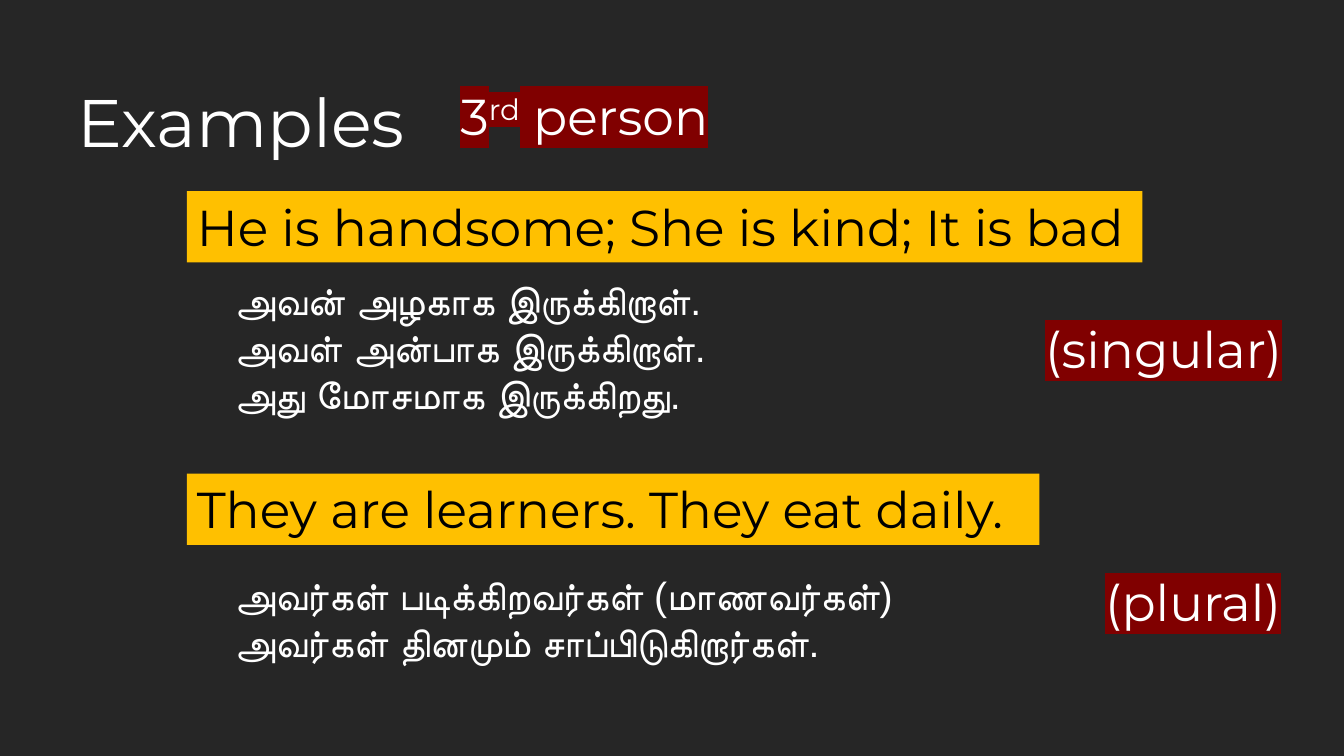
from dataclasses import dataclass

from lxml.etree import SubElement
from pptx import Presentation
from pptx.dml.color import RGBColor
from pptx.enum.text import MSO_ANCHOR, MSO_AUTO_SIZE, PP_ALIGN
from pptx.oxml.ns import qn
from pptx.util import Pt

EMU_PER_PX = 9525


@dataclass(frozen=True)
class Theme:
    background: str = "262626"
    light: str = "FFFFFF"
    dark: str = "000000"
    banner: str = "FFC000"
    tag: str = "800000"
    english: str = "Montserrat"
    tamil: str = "Arial"
    title_size: int = 48
    english_size: int = 36
    tamil_size: int = 28


THEME = Theme()
TITLE = {"name": THEME.english, "size": Pt(THEME.title_size)}
ENGLISH = {"name": THEME.english, "size": Pt(THEME.english_size)}
TAMIL = {"name": THEME.tamil, "size": Pt(THEME.tamil_size)}
FRAME = {
    "word_wrap": False,
    "auto_size": MSO_AUTO_SIZE.SHAPE_TO_FIT_TEXT,
    "vertical_anchor": MSO_ANCHOR.TOP,
}


def px(length):
    return length * EMU_PER_PX


def apply(target, values):
    for attribute, value in values.items():
        setattr(target, attribute, value)


def paint(fill, color):
    fill.solid()
    fill.fore_color.rgb = RGBColor.from_string(color)


def add_box(slide, bounds):
    box = slide.shapes.add_textbox(*map(px, bounds))
    apply(box.text_frame, FRAME)
    return box


def add_run(paragraph, words, style, color=THEME.light):
    run = paragraph.add_run()
    run.text = words
    apply(run.font, style)
    paint(run.font.fill, color)
    properties = run._r.get_or_add_rPr()
    SubElement(properties, qn("a:cs"), typeface=style["name"])
    return properties


def add_title(slide, words, bounds):
    heading = add_box(slide, bounds).text_frame.paragraphs[0]
    apply(heading, {"alignment": PP_ALIGN.RIGHT, "line_spacing": 1.5})
    add_run(heading, words, TITLE)


def add_translation(slide, sentences, bounds):
    frame = add_box(slide, bounds).text_frame
    for index, sentence in enumerate(sentences):
        line = frame.add_paragraph() if index else frame.paragraphs[0]
        add_run(line, sentence, TAMIL)


def add_banner(slide, sentence, bounds):
    banner = add_box(slide, bounds)
    paint(banner.fill, THEME.banner)
    add_run(banner.text_frame.paragraphs[0], sentence, ENGLISH, THEME.dark)


def add_tag(slide, parts, bounds):
    label = add_box(slide, bounds).text_frame.paragraphs[0]
    for words, baseline in parts:
        properties = add_run(label, words, ENGLISH)
        highlight = SubElement(properties, qn("a:highlight"))
        SubElement(highlight, qn("a:srgbClr"), val=THEME.tag)
        properties.find(qn("a:solidFill")).addnext(highlight)
        if baseline:
            properties.set("baseline", f"{baseline * 1000}")


def main():
    deck = Presentation()
    apply(deck, {"slide_width": px(1280), "slide_height": px(720)})
    slide = deck.slides.add_slide(deck.slide_layouts[6])
    paint(slide.background.fill, THEME.background)

    add_title(slide, "Examples", (60, 33, 335, 113))
    add_translation(
        slide,
        ["அவர்கள் படிக்கிறவர்கள் (மாணவர்கள்)", "அவர்கள் தினமும் சாப்பிடுகிறார்கள்."],
        (214, 539, 818, 100),
    )
    add_banner(slide, "They are learners. They eat daily.", (178, 451, 812, 68))
    add_banner(slide, "He is handsome; She is kind; It is bad", (178, 182, 910, 68))
    add_translation(
        slide,
        ["அவன் அழகாக இருக்கிறாள்.", "அவள் அன்பாக இருக்கிறாள்.", "அது மோசமாக இருக்கிறது."],
        (214, 258, 606, 145),
    )
    add_tag(slide, [("(singular)", 0)], (986, 298, 248, 68))
    add_tag(slide, [("(plural)", 0)], (1043, 539, 191, 68))
    add_tag(slide, [("3", 0), ("rd", 30), (" person", 0)], (429, 76, 263, 68))

    deck.save("out.pptx")


if __name__ == "__main__":
    main()
